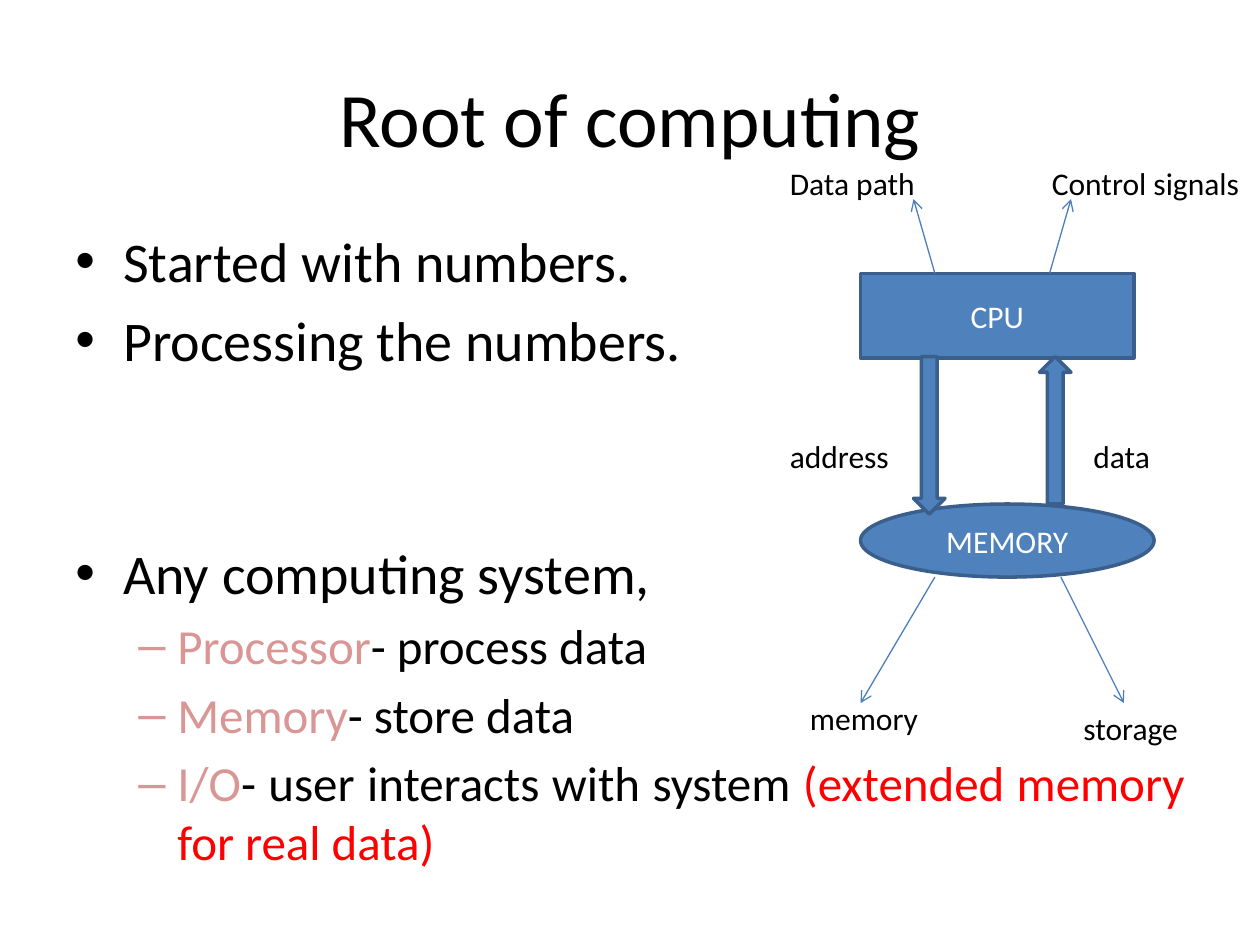
from lxml import etree
from pptx import Presentation
from pptx.dml.color import RGBColor
from pptx.enum.shapes import MSO_CONNECTOR, MSO_SHAPE
from pptx.enum.text import MSO_ANCHOR, PP_ALIGN
from pptx.oxml.ns import qn
from pptx.util import Inches, Pt

LINE = MSO_CONNECTOR.STRAIGHT
RECT, OVAL = MSO_SHAPE.RECTANGLE, MSO_SHAPE.OVAL
DOWN, UP = MSO_SHAPE.DOWN_ARROW, MSO_SHAPE.UP_ARROW
MIDDLE, TOP = MSO_ANCHOR.MIDDLE, MSO_ANCHOR.TOP
LEFT, CENTER, JUSTIFY = PP_ALIGN.LEFT, PP_ALIGN.CENTER, PP_ALIGN.JUSTIFY

BLACK = RGBColor(0x00, 0x00, 0x00)
WHITE = RGBColor(0xFF, 0xFF, 0xFF)
RED = RGBColor(0xFF, 0x00, 0x00)
PINK = RGBColor(0xD9, 0x96, 0x94)
BLUE = RGBColor(0x4F, 0x81, 0xBD)
EDGE = RGBColor(0x3A, 0x5F, 0x8C)
WIRE = RGBColor(0x4B, 0x7E, 0xBC)


class Deck:
    face = "Calibri"

    def __init__(self, wide, high):
        self.file = Presentation()
        self.file.slide_width = Inches(wide)
        self.file.slide_height = Inches(high)
        self.slide = self.file.slides.add_slide(self.file.slide_layouts[6])

    def style(self, run, size, color):
        run.font.name = self.face
        run.font.size = Pt(size)
        run.font.color.rgb = color

    def text(self, box, words, size=18, color=BLACK, wrap=False,
             align=LEFT, anchor=TOP):
        left, top, wide, high = map(Inches, box)
        frame = self.slide.shapes.add_textbox(left, top, wide, high).text_frame
        frame.word_wrap = wrap
        self.fill(frame, words, size, color, align, anchor)

    def fill(self, frame, words, size, color, align, anchor):
        frame.text = words
        frame.vertical_anchor = anchor
        para = frame.paragraphs[0]
        para.alignment = align
        for run in para.runs:
            self.style(run, size, color)

    def shape(self, kind, box, words=""):
        item = self.slide.shapes.add_shape(kind, *map(Inches, box))
        item.shadow.inherit = False
        item.fill.solid()
        item.fill.fore_color.rgb = BLUE
        item.line.color.rgb = EDGE
        item.line.width = Pt(2)
        if words:
            self.fill(item.text_frame, words, 18, WHITE, CENTER, MIDDLE)

    def arrow(self, start, end):
        link = self.slide.shapes.add_connector(
            LINE, *map(Inches, start + end))
        link.line.color.rgb = WIRE
        link.line.width = Pt(0.75)
        props = link._element.spPr
        etree.SubElement(props.find(qn("a:ln")), qn("a:tailEnd"), type="arrow")
        etree.SubElement(props, qn("a:effectLst"))

    def bullets(self, box, items):
        area = self.slide.shapes.add_textbox(*map(Inches, box))
        frame = area.text_frame
        frame.word_wrap = True
        for i, (level, gap, parts) in enumerate(items):
            para = frame.paragraphs[0] if i == 0 else frame.add_paragraph()
            left, hang, mark, size, align = (
                (0.81, 0.31, "–", 28, JUSTIFY) if level
                else (0.38, 0.38, "•", 32, LEFT))
            props = para._p.get_or_add_pPr()
            props.set("marL", str(Inches(left)))
            props.set("indent", str(-Inches(hang)))
            etree.SubElement(props, qn("a:buFont"), typeface="Arial")
            etree.SubElement(props, qn("a:buChar"), char=mark)
            para.level = level
            para.alignment = align
            para.space_before = Pt(gap)
            for words, color in parts:
                run = para.add_run()
                run.text = words
                self.style(run, size, color)


def main():
    deck = Deck(10, 7.5)
    deck.text((0.5, 0.3, 9, 1.25), "Root of computing", 44,
              wrap=True, align=CENTER, anchor=MIDDLE)
    deck.bullets((0.5, 1.75, 9, 4.95), [
        (0, 0, [("Started with numbers.", BLACK)]),
        (0, 6.4, [("Processing the numbers.", BLACK)]),
        (0, 95, [("Any computing system,", BLACK)]),
        (1, 5.6, [("Processor", PINK), ("- process data", BLACK)]),
        (1, 5.6, [("Memory", PINK), ("- store data", BLACK)]),
        (1, 5.6, [("I/O", PINK), ("- user interacts with system ", BLACK),
                  ("(extended memory for real data)", RED)]),
    ])

    deck.shape(RECT, (6.83, 2.17, 2.17, 0.67), "CPU")
    deck.shape(OVAL, (6.83, 4, 2.33, 0.58), "MEMORY")
    deck.shape(DOWN, (7.25, 2.83, 0.25, 1.25))
    deck.shape(UP, (8.25, 2.83, 0.25, 1.17))

    for start, end in (
        ((7.42, 2.17), (7.25, 1.58)),
        ((8.33, 2.17), (8.5, 1.58)),
        ((7.42, 4.58), (6.83, 5.58)),
        ((8.42, 4.58), (8.92, 5.58)),
    ):
        deck.arrow(start, end)

    for left, top, wide, words in (
        (6.17, 1.25, 1.24, "Data path"),
        (8.25, 1.25, 1.74, "Control signals"),
        (6.17, 3.42, 1.01, "address"),
        (8.58, 3.42, 0.67, "data"),
        (6.33, 5.5, 1.09, "memory"),
        (8.5, 5.58, 0.99, "storage"),
    ):
        deck.text((left, top, wide, 0.4), words)

    deck.file.save("out.pptx")


if __name__ == "__main__":
    main()
